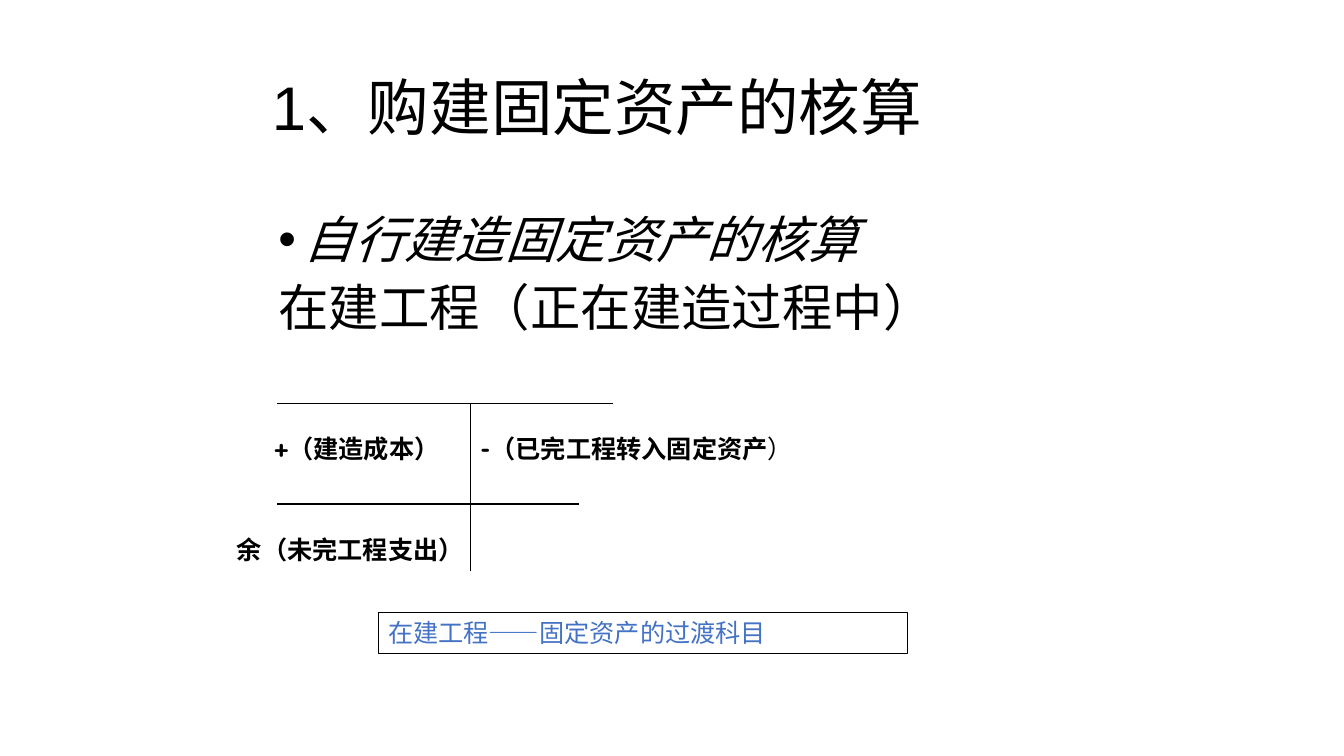
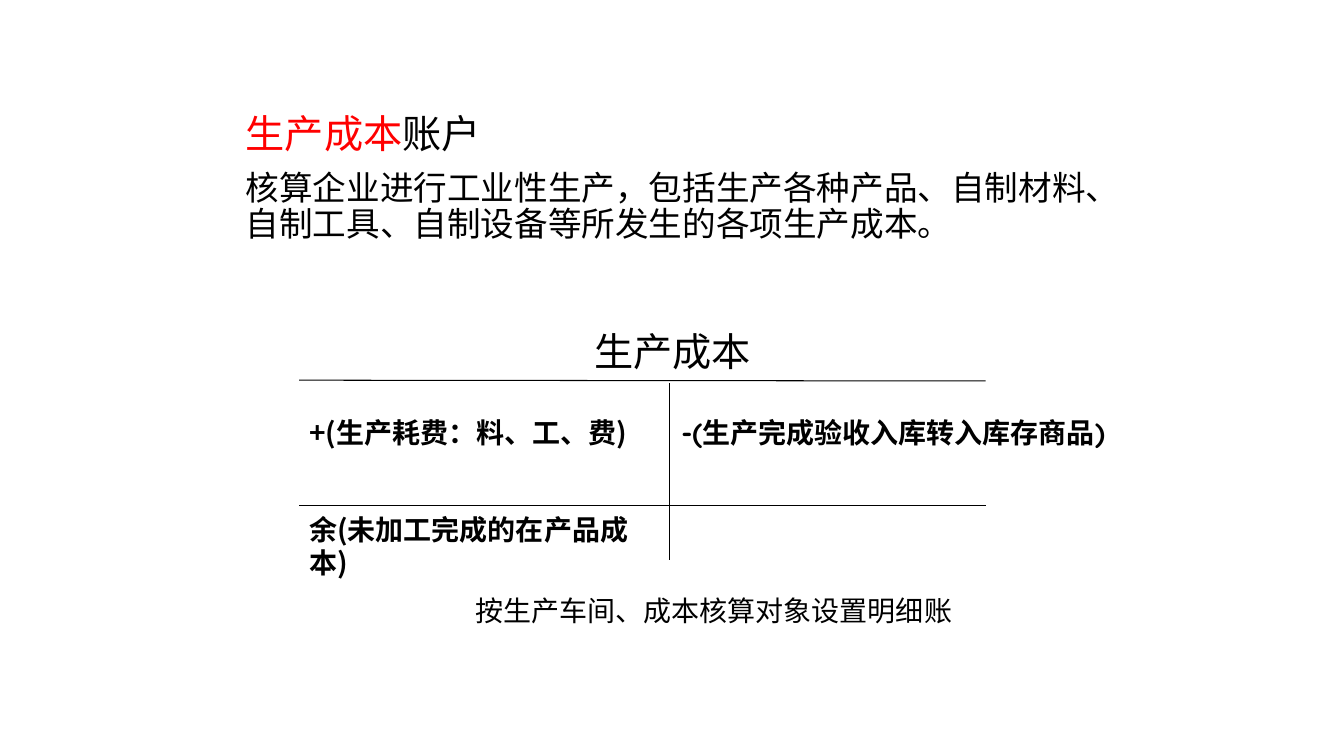
import pptx
import pptx.dml.color
import pptx.enum.shapes
import pptx.enum.text
import pptx.oxml
import pptx.oxml.ns
import pptx.util

Cm = pptx.util.Cm
Pt = pptx.util.Pt
BLACK = pptx.dml.color.RGBColor(0x00, 0x00, 0x00)
RED = pptx.dml.color.RGBColor(0xFF, 0x00, 0x00)
BLUE = pptx.dml.color.RGBColor(0x44, 0x72, 0xC4)
HEADING_FONT = "Arial"
LABEL_FONT = "Quicksand"
CJK_FONT = "Noto Sans CJK SC"


def write(para, text, size=18, font=CJK_FONT, color=BLACK, bold=False, italic=False,
          align=pptx.enum.text.PP_ALIGN.LEFT, spacing=None, before=0):
    """Append a formatted span to a paragraph."""
    para.alignment = align
    para.line_spacing = spacing
    para.space_before = Pt(before)
    span = para.add_run()
    span.text = text
    span.font.size = Pt(size)
    span.font.name = font
    span.font.color.rgb = color
    span.font.bold = bold
    span.font.italic = italic
    east_asian = pptx.oxml.parse_xml(
        f'<a:ea {pptx.oxml.ns.nsdecls("a")} typeface="{CJK_FONT}"/>')
    span.font._element.find(pptx.oxml.ns.qn("a:latin")).addnext(east_asian)


def place(shape, left, top, width, height):
    """Position a text shape and return its wrapped frame."""
    shape.left, shape.top, shape.width, shape.height = map(Cm, (left, top, width, height))
    frame = shape.text_frame
    frame.word_wrap = True
    frame.auto_size = pptx.enum.text.MSO_AUTO_SIZE.NONE
    return frame


deck = pptx.Presentation()
deck.slide_width = Cm(33.87)
deck.slide_height = Cm(19.05)
layout = deck.slide_layouts[1]
asset_page = deck.slides.add_slide(layout)
cost_page = deck.slides.add_slide(layout)

# Asset page: title and list
title = place(asset_page.shapes.title, 6.6, 1.65, 19.58, 2.29)
title.vertical_anchor = pptx.enum.text.MSO_ANCHOR.MIDDLE
write(title.paragraphs[0], "1、购建固定资产的核算", size=44, font=HEADING_FONT, spacing=0.9)

body = place(asset_page.placeholders[1], 6.76, 5.28, 20.75, 11.63)
topic, account = body.paragraphs[0], body.add_paragraph()
write(topic, "自行建造固定资产的核算", size=36, font=HEADING_FONT, italic=True,
      spacing=0.9, before=10)
write(account, "在建工程（正在建造过程中）", size=36, font=HEADING_FONT, spacing=0.9, before=10)

# Cost page: body without a title
title_element = cost_page.shapes.title._element
title_element.getparent().remove(title_element)
body = place(cost_page.placeholders[1], 5.94, 2.77, 23.01, 6.6)
heading, definition = body.paragraphs[0], body.add_paragraph()
write(heading, "生产成本", size=28, color=RED, spacing=0.9, before=10)
write(heading, "账户", size=28, spacing=0.9, before=10)
write(definition, "核算企业进行工业性生产，包括生产各种产品、自制材料、自制工具、自制设备等所发生的各项生产成本。",
      size=24, spacing=0.9, before=10)

# Indents and bullets of both bodies
for para, indent, bullet in [
    (topic, 0.64, '<a:buChar {} char="•"/>'),
    (account, 0.64, "<a:buNone {}/>"),
    (heading, 0, "<a:buNone {}/>"),
    (definition, 0, "<a:buNone {}/>"),
]:
    settings = para._p.get_or_add_pPr()
    settings.set("marL", str(Cm(indent)))
    settings.set("indent", str(-Cm(indent)))
    settings.append(pptx.oxml.parse_xml(bullet.format(pptx.oxml.ns.nsdecls("a"))))

# T-account rules: start and end points
for page, rules in [
    (asset_page, [(6.99, 10.16, 15.44, 10.16), (11.86, 10.16, 11.86, 14.4),
                  (6.99, 12.7, 14.6, 12.7)]),
    (cost_page, [(7.54, 9.58, 24.84, 9.6), (16.87, 9.65, 16.87, 14.1),
                 (7.54, 12.73, 24.84, 12.73)]),
]:
    for ends in rules:
        rule = page.shapes.add_connector(
            pptx.enum.shapes.MSO_CONNECTOR.STRAIGHT, *map(Cm, ends))
        rule.line.color.rgb = BLACK
        rule.line.width = Pt(0.75)
        rule._element.spPr.append(
            pptx.oxml.parse_xml(f'<a:effectLst {pptx.oxml.ns.nsdecls("a")}/>'))

# T-account labels: place, then spans with their format
entry = dict(size=18, font=LABEL_FONT, bold=True)
cost_entry = dict(size=20, bold=True)
for page, area, spans in [
    (asset_page, (6.65, 10.8, 5.72, 1.02), [("+（建造成本）", entry)]),
    (asset_page, (11.86, 10.8, 10.8, 1.02),
     [("-（已完工程转入固定资产", entry), ("）", dict(entry, bold=False))]),
    (asset_page, (5.72, 13.34, 11, 1.02), [("余（未完工程支出）", entry)]),
    (cost_page, (14.73, 8.13, 6.2, 1.45), [("生产成本", dict(size=28))]),
    (cost_page, (7.54, 10.34, 8.61, 1.12), [("+(生产耗费：料、工、费)", cost_entry)]),
    (cost_page, (16.92, 10.34, 11.23, 1.12),
     [("-(生产完成验收入库转入库存商品)", dict(cost_entry, font=LABEL_FONT))]),
    (cost_page, (7.54, 12.78, 9.37, 1.12), [("余(未加工完成的在产品成本)", cost_entry)]),
    (cost_page, (11.73, 14.83, 13.77, 1.12),
     [("按生产车间、成本核算对象设置明细账", dict(size=20))]),
]:
    box = page.shapes.add_textbox(0, 0, 0, 0)
    frame = place(box, *area)
    for text, style in spans:
        write(frame.paragraphs[0], text, **style)

# Framed remark
remark = asset_page.shapes.add_shape(pptx.enum.shapes.MSO_SHAPE.RECTANGLE, 0, 0, 0, 0)
remark.shadow.inherit = False
remark.fill.background()
remark.line.color.rgb = BLACK
remark.line.width = Pt(0.75)
frame = place(remark, 9.53, 15.44, 13.34, 1.02)
frame.vertical_anchor = pptx.enum.text.MSO_ANCHOR.TOP
write(frame.paragraphs[0], "在建工程——固定资产的过渡科目", font=LABEL_FONT, color=BLUE)

deck.save("out.pptx")
